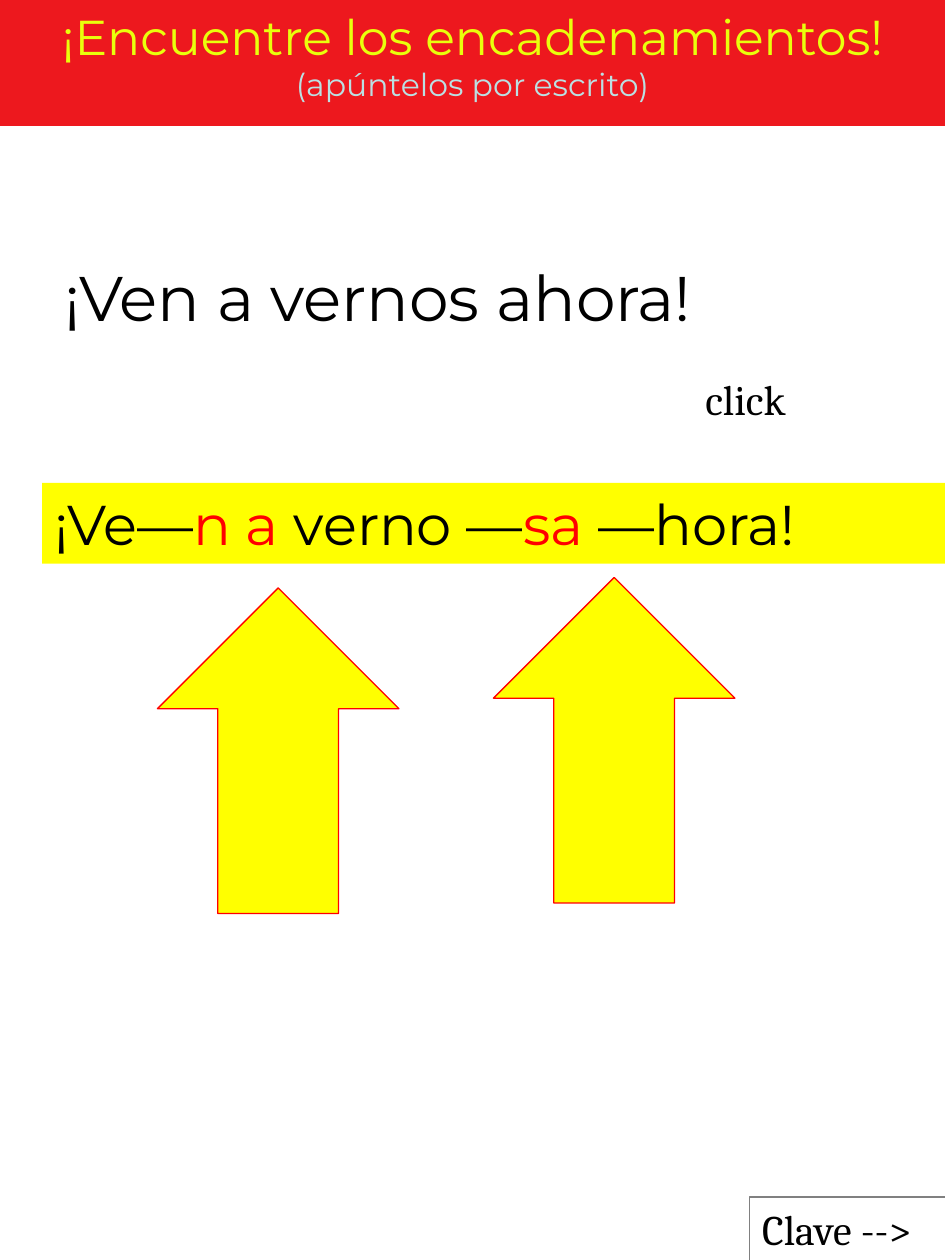
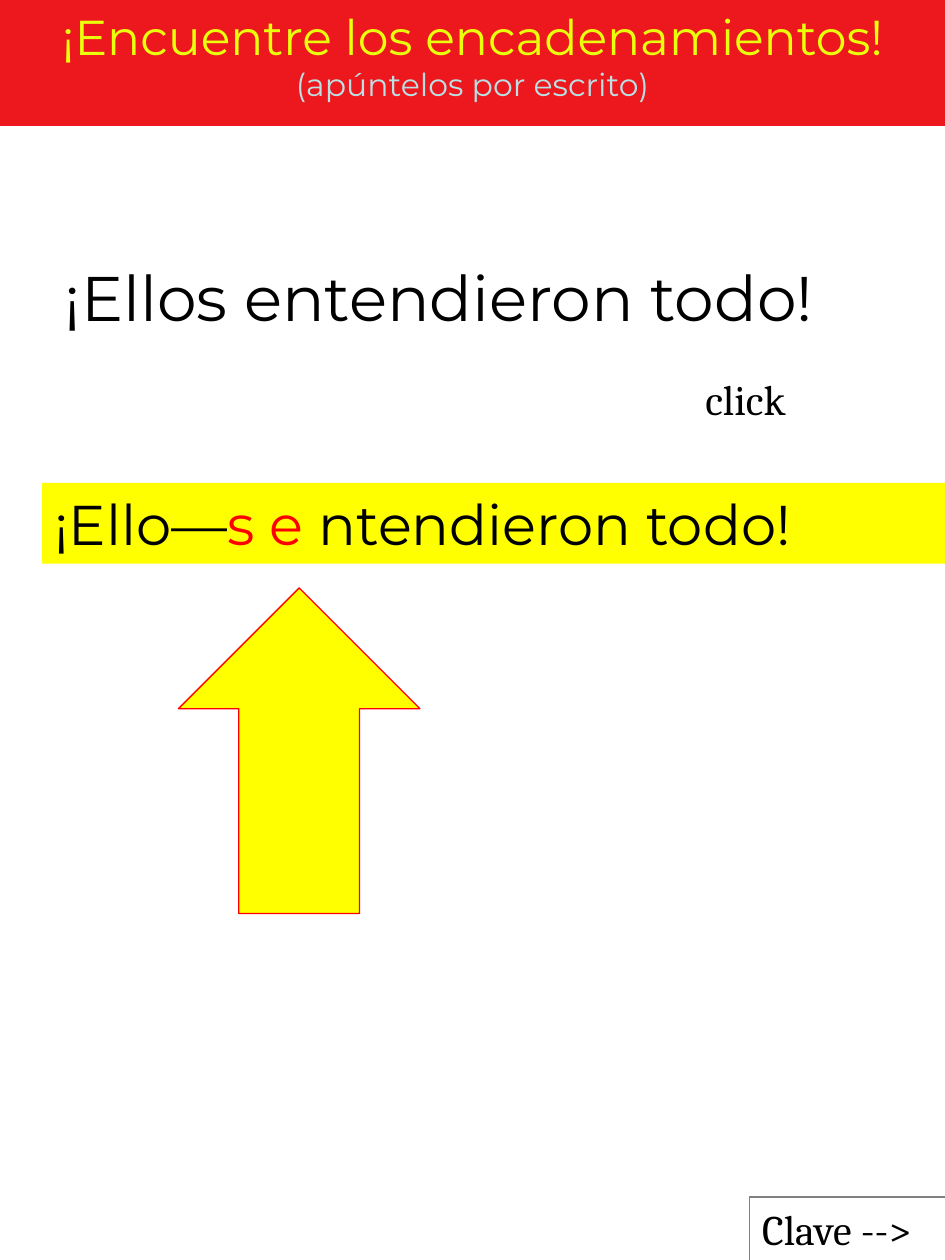
from dataclasses import dataclass
from pptx import Presentation
from pptx.dml.color import RGBColor
from pptx.enum.shapes import MSO_SHAPE
from pptx.enum.text import MSO_ANCHOR, MSO_AUTO_SIZE, PP_ALIGN
from pptx.util import Inches, Pt


@dataclass(frozen=True)
class Theme:
    # Colours
    band: str = "ED181E"
    head: str = "E9FF0C"
    sub: str = "BBE0E3"
    mark: str = "FFFF00"
    link: str = "FF0000"
    ink: str = "000000"
    edge: str = "808080"
    # Fonts and type sizes
    sans: str = "Montserrat"
    serif: str = "Cambria"
    big: int = 36
    key: int = 32
    title: int = 28
    note: int = 24
    small: int = 18


COLS, ROWS = 90, 120


def write(par, text, size, color, face, align=PP_ALIGN.LEFT):
    """Add one formatted run to a paragraph."""
    par.alignment = align
    run = par.add_run()
    run.text = text
    font = run.font
    font.size, font.name = Pt(size), face
    font.color.rgb = RGBColor.from_string(color)


class Deck:
    def __init__(self, theme):
        self.theme = theme
        self.show = Presentation()
        self.show.slide_width = Inches(7.5)
        self.show.slide_height = Inches(10)
        self.slide = None

    def area(self, col, row, wide, high):
        """Turn grid units into left, top, width and height."""
        x = self.show.slide_width / COLS
        y = self.show.slide_height / ROWS
        return [round(n) for n in (col * x, row * y, wide * x, high * y)]

    def frame(self, shape):
        frame = shape.text_frame
        frame.word_wrap = True
        frame.auto_size = MSO_AUTO_SIZE.NONE
        frame.vertical_anchor = MSO_ANCHOR.TOP
        return frame

    def page(self, head, sub):
        """Start a slide with its title band."""
        t = self.theme
        self.slide = self.show.slides.add_slide(self.show.slide_layouts[5])
        band = self.slide.shapes.title
        band.left, band.top, band.width, band.height = self.area(0, 0, COLS, 12)
        band.fill.solid()
        band.fill.fore_color.rgb = RGBColor.from_string(t.band)
        frame = self.frame(band)
        write(frame.paragraphs[0], head, size=t.title, color=t.head,
              face=t.sans, align=PP_ALIGN.CENTER)
        write(frame.add_paragraph(), sub, size=t.small, color=t.sub,
              face=t.sans, align=PP_ALIGN.CENTER)

    def shape(self, kind, spot, fill=None, line=None):
        shape = self.slide.shapes.add_shape(kind, *self.area(*spot))
        shape.shadow.inherit = False
        if fill:
            shape.fill.solid()
            shape.fill.fore_color.rgb = RGBColor.from_string(fill)
        else:
            shape.fill.background()
        if line:
            shape.line.color.rgb = RGBColor.from_string(line)
            shape.line.width = Pt(0.75)
        else:
            shape.line.fill.background()
        return shape

    def label(self, text, spot, size, face):
        box = self.slide.shapes.add_textbox(*self.area(*spot))
        write(self.frame(box).paragraphs[0], text, size=size,
              color=self.theme.ink, face=face)

    def answer(self, parts):
        """Yellow bar whose every second part is a linked sound."""
        t = self.theme
        bar = self.shape(MSO_SHAPE.RECTANGLE, (4, 46, 86, 7.68), fill=t.mark)
        par = self.frame(bar).paragraphs[0]
        for i, part in enumerate(parts):
            write(par, part, size=t.key, color=t.link if i % 2 else t.ink,
                  face=t.sans)

    def arrow(self, col, row):
        self.shape(MSO_SHAPE.UP_ARROW, (col, row, 23, 31),
                   fill=self.theme.mark, line=self.theme.link)

    def footer(self, text):
        t = self.theme
        box = self.shape(MSO_SHAPE.RECTANGLE, (71.4, 114, 18.84, 6.1),
                         line=t.edge)
        write(self.frame(box).paragraphs[0], text, size=t.note, color=t.ink,
              face=t.serif)


# Phrase, its answer in parts, and the grid places of the arrows
TASKS = [
    ("¡Ven a vernos ahora!",
     ["¡Ve—", "n a ", "verno —", "sa", " —hora!"],
     [(15, 56), (47, 55)]),
    ("¡Ellos entendieron todo!",
     ["¡Ello—", "s e ", "ntendieron todo!"],
     [(17, 56)]),
]


def main():
    theme = Theme()
    deck = Deck(theme)
    for phrase, parts, spots in TASKS:
        deck.page("¡Encuentre los encadenamientos!", "(apúntelos por escrito)")
        deck.footer("Clave -->")
        # Question
        deck.label(phrase, (5, 24, 85, 8.5), size=theme.big, face=theme.sans)
        deck.label("click", (66, 35, 17, 6), size=theme.note, face=theme.serif)
        # Answer
        deck.answer(parts)
        for col, row in spots:
            deck.arrow(col, row)
    deck.show.save("out.pptx")


if __name__ == "__main__":
    main()
